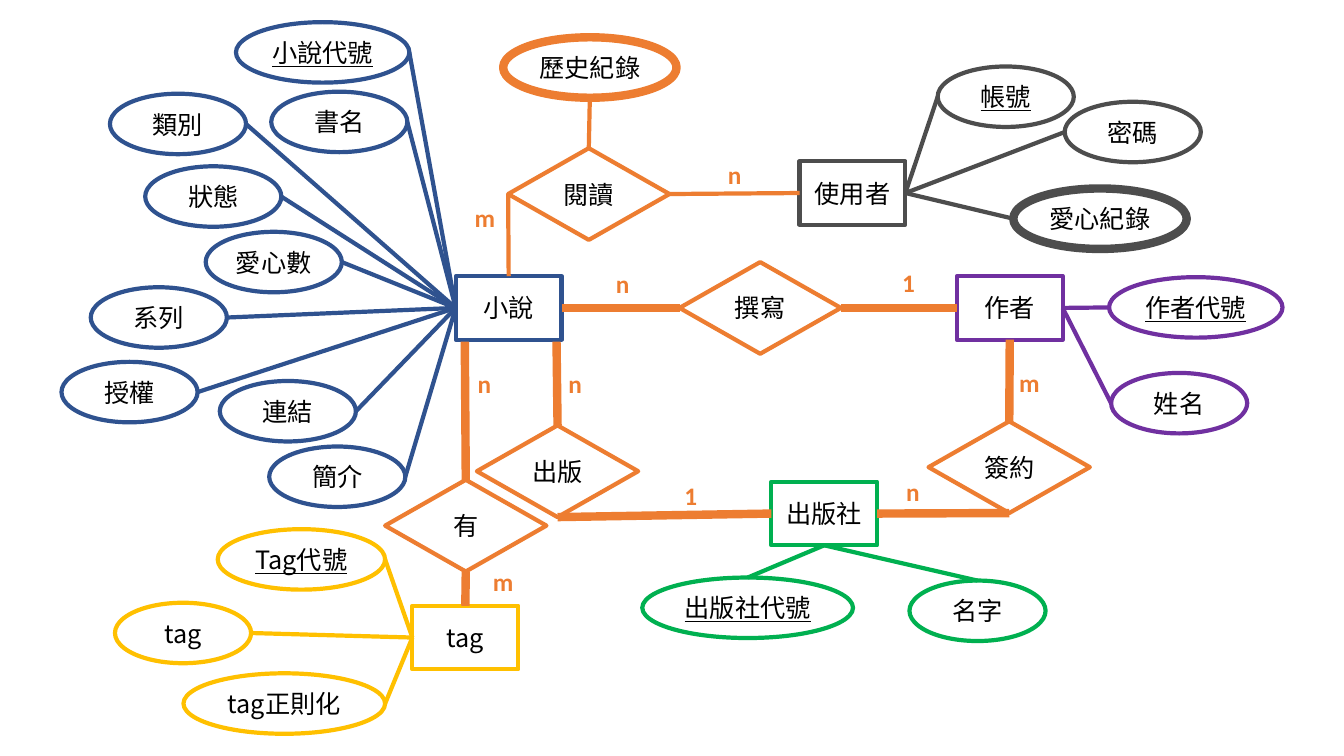
from dataclasses import dataclass

from lxml.etree import SubElement
from pptx import Presentation
from pptx.dml.color import RGBColor
from pptx.enum.shapes import MSO_CONNECTOR, MSO_SHAPE
from pptx.enum.text import MSO_ANCHOR, MSO_AUTO_SIZE, PP_ALIGN
from pptx.oxml.ns import qn
from pptx.shapes.autoshape import Shape
from pptx.shapes.connector import Connector
from pptx.slide import Slide
from pptx.util import Inches, Pt

COLORS = {
    "novel": "2F528F", "user": "4D4D4D", "author": "7030A0", "tag": "FFC000",
    "publisher": "00B050", "relation": "ED7D31", "text": "000000",
}
TEXT_FONT, LABEL_FONT = "Noto Sans CJK SC", "Calibri"
TOP, LEFT, BOTTOM, RIGHT = range(4)
SITE_FRACTIONS = {TOP: (0.5, 0), LEFT: (0, 0.5), BOTTOM: (0.5, 1), RIGHT: (1, 0.5)}
THIN, THICK = 3, 6
ENTITY, RELATION = MSO_SHAPE.RECTANGLE, MSO_SHAPE.FLOWCHART_DECISION
NODE_SIZES = {ENTITY: (1.05, 0.63), RELATION: (1.6, 0.91)}
ATTRIBUTE_HEIGHT = 0.6


@dataclass
class Attribute:
    text: str
    left: float
    top: float
    width: float = 1.35
    is_key: bool = False
    weight: int = THIN


@dataclass
class Node:
    text: str
    kind: MSO_SHAPE
    color: str
    left: float
    top: float
    attribute_side: int = LEFT
    attributes: tuple[Attribute, ...] = ()


@dataclass
class Link:
    relation: str
    relation_site: int
    entity: str
    entity_site: int
    weight: int = THICK


@dataclass
class Label:
    text: str
    left: float
    top: float
    width: float


NODES = [
    Node("小說", ENTITY, "novel", 4.52, 2.74, LEFT, (
        Attribute("小說代號", 2.34, 0.22, 1.72, is_key=True),
        Attribute("書名", 2.69, 0.91),
        Attribute("類別", 1.09, 0.93),
        Attribute("狀態", 1.44, 1.65),
        Attribute("愛心數", 2.04, 2.3),
        Attribute("系列", 0.9, 2.85),
        Attribute("授權", 0.61, 3.59),
        Attribute("連結", 2.18, 3.78),
        Attribute("簡介", 2.67, 4.43),
    )),
    Node("使用者", ENTITY, "user", 7.93, 1.6, RIGHT, (
        Attribute("帳號", 9.3, 0.66, is_key=True),
        Attribute("密碼", 10.56, 1.01),
        Attribute("愛心紀錄", 10.05, 1.87, 1.72, weight=THICK),
    )),
    Node("作者", ENTITY, "author", 9.49, 2.74, RIGHT, (
        Attribute("作者代號", 11, 2.75, 1.72, is_key=True),
        Attribute("姓名", 11.02, 3.7),
    )),
    Node("出版社", ENTITY, "publisher", 7.65, 4.78, BOTTOM, (
        Attribute("出版社代號", 6.37, 5.73, 2.09, is_key=True),
        Attribute("名字", 9.02, 5.76),
    )),
    Node("tag", ENTITY, "tag", 4.09, 6.01, LEFT, (
        Attribute("Tag代號", 2.16, 5.25, 1.66, is_key=True),
        Attribute("tag", 1.14, 5.98),
        Attribute("tag正則化", 1.82, 6.68, 2),
    )),
    Node("閱讀", RELATION, "relation", 5.04, 1.47, TOP, (
        Attribute("歷史紀錄", 4.99, 0.37, 1.72, weight=THICK),
    )),
    Node("撰寫", RELATION, "relation", 6.74, 2.6),
    Node("簽約", RELATION, "relation", 9.21, 4.18),
    Node("出版", RELATION, "relation", 4.73, 4.22),
    Node("有", RELATION, "relation", 3.82, 4.76),
]
LINKS = [
    Link("閱讀", LEFT, "小說", TOP, THIN),
    Link("閱讀", RIGHT, "使用者", LEFT, THIN),
    Link("撰寫", LEFT, "小說", RIGHT),
    Link("撰寫", RIGHT, "作者", LEFT),
    Link("簽約", TOP, "作者", BOTTOM),
    Link("簽約", BOTTOM, "出版社", RIGHT),
    Link("出版", BOTTOM, "出版社", LEFT),
    Link("有", BOTTOM, "tag", TOP),
]
# Two relations leave the novel's lower edge away from its middle.
NOVEL_EDGE_STARTS = {"有": (4.61, 3.39), "出版": (5.52, 3.39)}
LABELS = [
    Label("m", 4.61, 1.96, 0.41), Label("n", 7.12, 1.53, 0.34),
    Label("n", 6.01, 2.61, 0.34), Label("1", 8.85, 2.6, 0.33),
    Label("m", 10.01, 3.59, 0.41), Label("n", 8.89, 4.68, 0.34),
    Label("n", 5.54, 3.6, 0.34), Label("1", 6.69, 4.72, 0.33),
    Label("n", 4.64, 3.61, 0.34), Label("m", 4.79, 5.57, 0.41),
]


def rgb(color: str) -> RGBColor:
    return RGBColor.from_string(COLORS[color])


def add_outlined_shape(slide: Slide, kind: MSO_SHAPE, item: Node | Attribute,
                       size: tuple[float, float], color: str, weight: int = THIN,
                       underline: bool = False) -> Shape:
    shape = slide.shapes.add_shape(kind, Inches(item.left), Inches(item.top),
                                   Inches(size[0]), Inches(size[1]))
    shape.shadow.inherit = False
    shape.fill.background()
    shape.line.color.rgb = rgb(color)
    shape.line.width = Pt(weight)
    text_frame = shape.text_frame
    text_frame.text = item.text
    text_frame.word_wrap = False
    text_frame.vertical_anchor = MSO_ANCHOR.MIDDLE
    paragraph = text_frame.paragraphs[0]
    paragraph.alignment = PP_ALIGN.CENTER
    run = paragraph.runs[0]
    run.font.size = Pt(18)
    run.font.color.rgb = rgb("text")
    run.font.name = TEXT_FONT
    if underline:
        run.font.underline = True
    SubElement(run.font._element, qn("a:ea"), typeface=TEXT_FONT)
    return shape


def add_line(slide: Slide, color: str, weight: int, start: tuple[int, int] = (0, 0)) -> Connector:
    """Add a line from start; its free ends are joined or placed by the caller."""
    connector = slide.shapes.add_connector(MSO_CONNECTOR.STRAIGHT, *start, *start)
    connector.line.color.rgb = rgb(color)
    connector.line.width = Pt(weight)
    SubElement(connector._element.spPr, qn("a:effectLst"))
    return connector


def add_node(slide: Slide, node: Node) -> Shape:
    """Draw an entity or relation with its attributes around it."""
    owner = add_outlined_shape(slide, node.kind, node, NODE_SIZES[node.kind], node.color)
    across, down = SITE_FRACTIONS[(node.attribute_side + 2) % 4]
    for attribute in node.attributes:
        add_outlined_shape(slide, MSO_SHAPE.OVAL, attribute, (attribute.width, ATTRIBUTE_HEIGHT),
                           node.color, attribute.weight, attribute.is_key)
        start = (Inches(attribute.left + across * attribute.width),
                 Inches(attribute.top + down * ATTRIBUTE_HEIGHT))
        add_line(slide, node.color, THIN, start).end_connect(owner, node.attribute_side)
    return owner


def add_label(slide: Slide, label: Label) -> None:
    box = slide.shapes.add_textbox(Inches(label.left), Inches(label.top),
                                   Inches(label.width), Inches(0.4))
    box.text_frame.text = label.text
    box.text_frame.word_wrap = False
    box.text_frame.auto_size = MSO_AUTO_SIZE.SHAPE_TO_FIT_TEXT
    font = box.text_frame.paragraphs[0].runs[0].font
    font.name, font.size, font.bold = LABEL_FONT, Pt(18), True
    font.color.rgb = rgb("relation")


def main() -> None:
    presentation = Presentation()
    presentation.slide_width, presentation.slide_height = Inches(13.33), Inches(7.5)
    slide = presentation.slides.add_slide(presentation.slide_layouts[6])
    shapes = {node.text: add_node(slide, node) for node in NODES}
    for link in LINKS:
        connector = add_line(slide, "relation", link.weight)
        connector.begin_connect(shapes[link.relation], link.relation_site)
        connector.end_connect(shapes[link.entity], link.entity_site)
    for relation, (x, y) in NOVEL_EDGE_STARTS.items():
        connector = add_line(slide, "relation", THICK, (Inches(x), Inches(y)))
        connector.end_connect(shapes[relation], TOP)
    for label in LABELS:
        add_label(slide, label)
    presentation.save("out.pptx")


if __name__ == "__main__":
    main()
